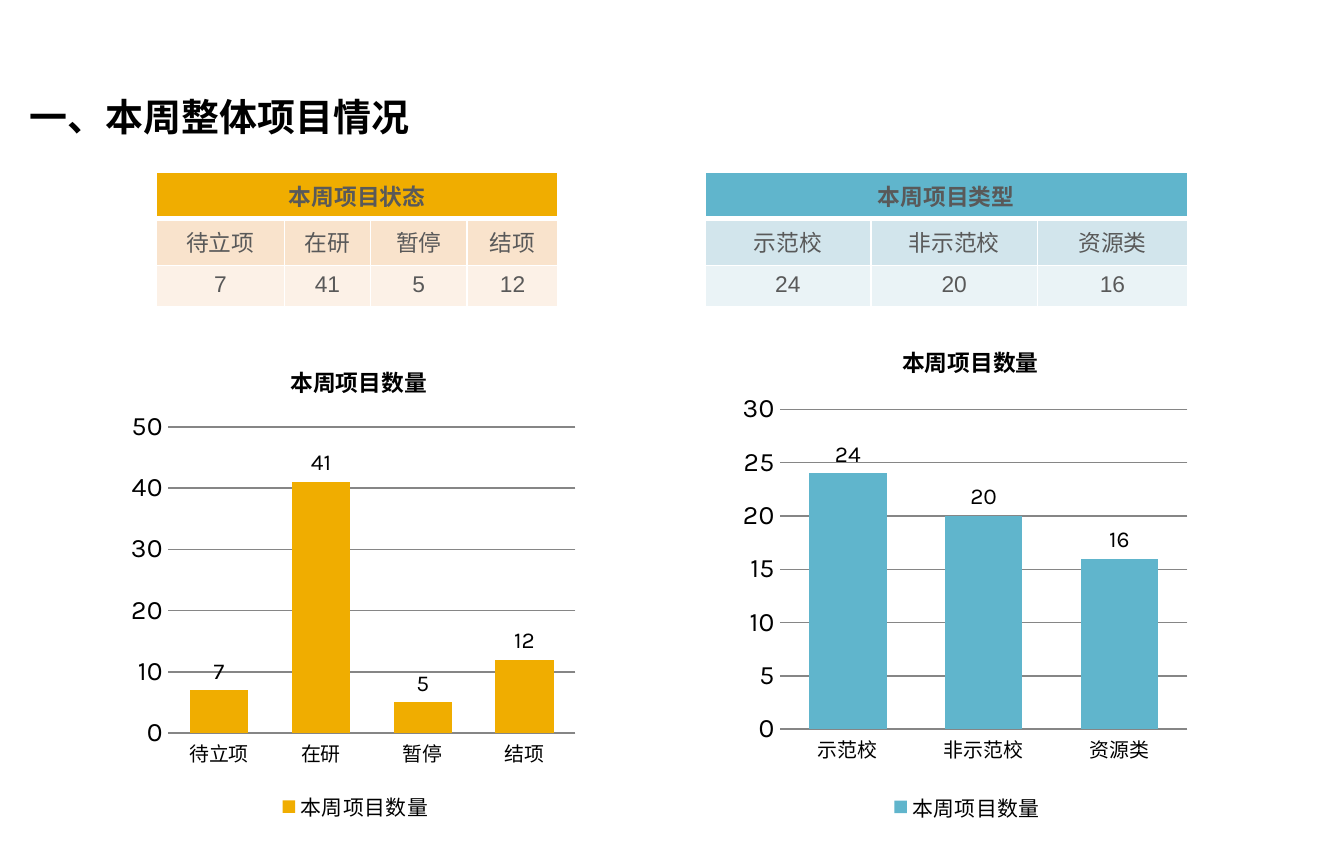
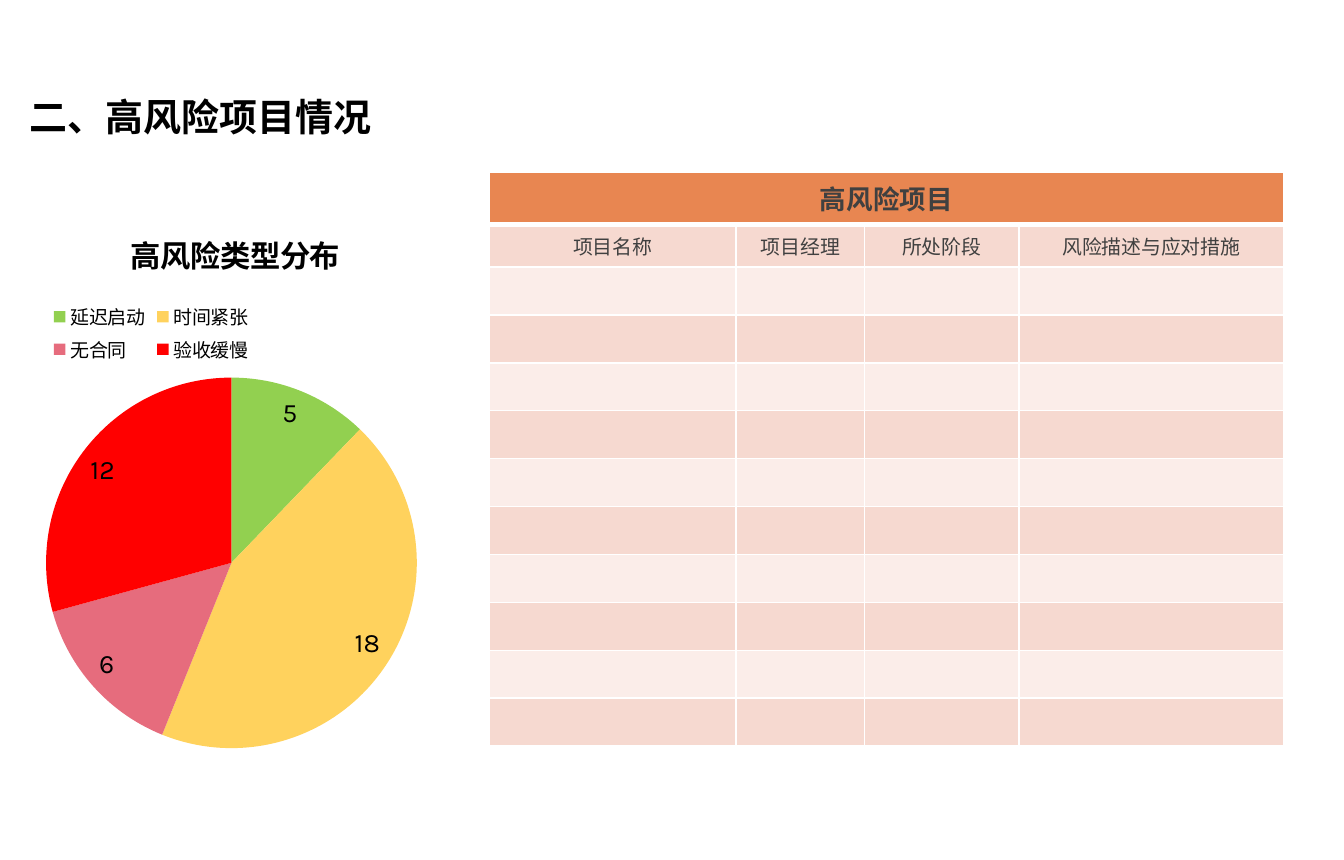
from lxml.etree import SubElement as Sub
from pptx import Presentation
from pptx.chart.data import CategoryChartData as Data
from pptx.dml.color import RGBColor as RGB
from pptx.enum.chart import XL_CHART_TYPE as Kind, XL_LABEL_POSITION as Spot
from pptx.enum.chart import XL_LEGEND_POSITION as Side, XL_TICK_MARK as Tick
from pptx.enum.text import MSO_ANCHOR as Anchor, MSO_AUTO_SIZE as Fit, PP_ALIGN as Align
from pptx.oxml.ns import qn
from pptx.util import Pt

HUE = {
    "black": "000000", "white": "FFFFFF", "grid": "868686",
    "grey": "595959", "dark": "404040",
    "gold": "F0AD00", "sand": "F9E3CC", "cream": "FCF1E7",
    "blue": "60B5CC", "sky": "D2E5EC", "mist": "EAF3F6",
    "rust": "E88651", "rose": "F6D9D0", "blush": "FBEDE9",
    "green": "92D050", "yellow": "FFD25D", "pink": "E66C7D", "red": "FF0000",
}
GOLD = ("gold", "sand", "cream")
BLUE = ("blue", "sky", "mist")
RUST = ("rust", "rose", "blush")
TEXT, CHART = "Arial", "Karla"
HEAD = (8.6, 45.4, 487.4, 32.4)


def tint(name):
    """Return the named colour."""
    return RGB.from_string(HUE[name])


def paint(fill, name):
    """Make a fill solid in the named colour."""
    fill.solid()
    fill.fore_color.rgb = tint(name)


def style(font, size, hue="black", face=CHART, bold=False):
    """Set size, colour, face and weight of a font."""
    font.size, font.name, font.bold = Pt(size), face, bold
    font.color.rgb = tint(hue)


def write(para, text, size, hue, face=TEXT, bold=False):
    """Add one styled run to a paragraph."""
    run = para.add_run()
    run.text = text
    style(run.font, size, hue, face, bold)


def start(deck, text):
    """Add a slide with its heading."""
    slide = deck.slides.add_slide(deck.slide_layouts[5])
    head = slide.shapes.title
    head.left, head.top, head.width, head.height = map(Pt, HEAD)
    frame = head.text_frame
    frame.auto_size, frame.word_wrap = Fit.NONE, True
    frame.vertical_anchor = Anchor.MIDDLE
    para = frame.paragraphs[0]
    para.alignment = Align.LEFT
    write(para, text, 20, "black", bold=True)
    return slide


def edge(cell, top, base):
    """Draw white cell borders with the given top and base widths."""
    props = cell._tc.get_or_add_tcPr()
    for side, width in zip("LRTB", (1, 1, top, base)):
        line = Sub(props, qn("a:ln" + side), w=str(Pt(width)))
        Sub(Sub(line, qn("a:solidFill")), qn("a:srgbClr"), val=HUE["white"])


def grid(slide, box, title, rows, cols, highs, hues, ink, sizes):
    """Place a table with a merged header and banded rows in the box."""
    head, *bands = hues
    rows = [[title] + [""] * (len(cols) - 1)] + rows
    table = slide.shapes.add_table(len(rows), len(cols), *map(Pt, box)).table
    table.first_row = table.horz_banding = False
    for col, wide in zip(table.columns, cols):
        col.width = Pt(wide)
    for row, high in zip(table.rows, highs):
        row.height = Pt(high)
    for r, row in enumerate(rows):
        size = sizes[r > 0]
        for c, text in enumerate(row):
            cell = table.cell(r, c)
            edge(cell, 3 if r == 1 else 1, 3 if r == 0 else 1)
            paint(cell.fill, bands[(r - 1) % 2] if r else head)
            para = cell.text_frame.paragraphs[0]
            para.alignment = Align.CENTER
            if text:
                write(para, text, size, ink, bold=r == 0)
            else:
                Sub(para._p, qn("a:endParaRPr"), sz=str(int(size * 100)))
    table.cell(0, 0).merge(table.cell(0, len(cols) - 1))


def pin(part, index, **spots):
    """Fix a chart part at fractions of the chart area."""
    for old in part.findall(qn("c:layout")):
        part.remove(old)
    lay = Sub(part, qn("c:layout"))
    part.insert(index, lay)
    man = Sub(lay, qn("c:manualLayout"))
    if "w" in spots:
        Sub(man, qn("c:layoutTarget"), val="inner")
    for axis in "xy":
        Sub(man, qn(f"c:{axis}Mode"), val="edge")
    for key, val in spots.items():
        Sub(man, qn("c:" + key), val=str(val))


def graph(slide, box, kind, title, pairs, size, left, side, key, area):
    """Place a chart with title, legend and plot area in the box."""
    data = Data()
    data.categories = [name for name, _ in pairs]
    data.add_series(title, [val for _, val in pairs])
    chart = slide.shapes.add_chart(kind, *map(Pt, box), data).chart
    style(chart.font, 18)
    chart.has_title = chart.has_legend = True
    head = chart.chart_title
    write(head.text_frame.paragraphs[0], title, size, "black", CHART, True)
    head.include_in_layout = False
    pin(head._element, 1, x=left, y=0.05)
    chart.legend.position = side
    chart.legend.include_in_layout = False
    style(chart.legend.font, key)
    plot = chart.plots[0]
    pin(plot._element.getparent(), 0, **dict(zip("xywh", area)))
    return chart, plot


def label(plot, size, spot):
    """Show the values on a plot."""
    plot.has_data_labels = True
    tags = plot.data_labels
    tags.show_value, tags.position = True, spot
    style(tags.font, size)


def bars(slide, box, pairs, hue, top, step):
    """Place a column chart of project counts in the box."""
    chart, plot = graph(slide, box, Kind.COLUMN_CLUSTERED, "本周项目数量", pairs,
                        12, 0.35, Side.BOTTOM, 11, (0.095, 0.19, 0.88, 0.62))
    plot.gap_width, plot.overlap, plot.vary_by_categories = 75, -25, False
    paint(plot.series[0].format.fill, hue)
    label(plot, 12, Spot.OUTSIDE_END)
    cat, val = chart.category_axis, chart.value_axis
    for axis, size in ((cat, 10.5), (val, 14)):
        axis.major_tick_mark = axis.minor_tick_mark = Tick.NONE
        style(axis.tick_labels.font, size)
    val.minimum_scale, val.maximum_scale, val.major_unit = 0, top, step
    val.format.line.fill.background()
    for line in (cat.format.line, val.major_gridlines.format.line):
        line.width = Pt(0.75)
        line.color.rgb = tint("grid")


def pie(slide, box, pairs, hues):
    """Place the pie chart of risk types in the box."""
    chart, plot = graph(slide, box, Kind.PIE, "高风险类型分布", pairs,
                        16, 0.24, Side.TOP, 10, (0.046, 0.3, 0.908, 0.605))
    pin(chart.legend._element, 1, x=0.05, y=0.17)
    plot.vary_by_categories = True
    for i, hue in enumerate(hues):
        paint(plot.series[0].points[i].format.fill, hue)
    label(plot, 14, Spot.INSIDE_END)


def count(slide, box, title, pairs, cols, hues):
    """Place a table of project counts in the box."""
    rows = [[name for name, _ in pairs], [str(val) for _, val in pairs]]
    grid(slide, box, title, rows, cols, (24, 24, 21.6), hues, "grey", (12, 12))


def status(deck):
    """Build the slide on all projects of the week."""
    slide = start(deck, "一、本周整体项目情况")
    state = [("待立项", 7), ("在研", 41), ("暂停", 5), ("结项", 12)]
    kinds = [("示范校", 24), ("非示范校", 20), ("资源类", 16)]
    bars(slide, (65.5, 175.7, 244, 260.6), state, "gold", 50, 10)
    count(slide, (371.5, 90.7, 254.6, 69.6), "本周项目类型", kinds,
          (87.7, 87.7, 79.2), BLUE)
    count(slide, (82.4, 90.7, 212.4, 69.6), "本周项目状态", state,
          (67.6, 45.3, 51, 47.9), GOLD)
    bars(slide, (388, 164.2, 244, 272.2), kinds, "blue", 30, 5)


def risks(deck):
    """Build the slide on projects at high risk."""
    slide = start(deck, "二、高风险项目情况")
    types = [("延迟启动", 5), ("时间紧张", 18), ("无合同", 6), ("验收缓慢", 12)]
    pie(slide, (14.4, 102.2, 215.3, 323.3), types,
        ("green", "yellow", "pink", "red"))
    blank = 10
    rows = [["项目名称", "项目经理", "所处阶段", "风险描述与应对措施"]]
    rows += [[""] * 4 for _ in range(blank)]
    grid(slide, (257.8, 90.7, 419.3, 302.6), "高风险项目", rows,
         (130.3, 67.7, 81.4, 139.7), [27, 22.4] + [25.3] * blank,
         RUST, "dark", (14, 10.5))


def main():
    """Build and save the deck."""
    deck = Presentation()
    deck.slide_width, deck.slide_height = Pt(708.5), Pt(453.6)
    status(deck)
    risks(deck)
    deck.save("out.pptx")


main()
